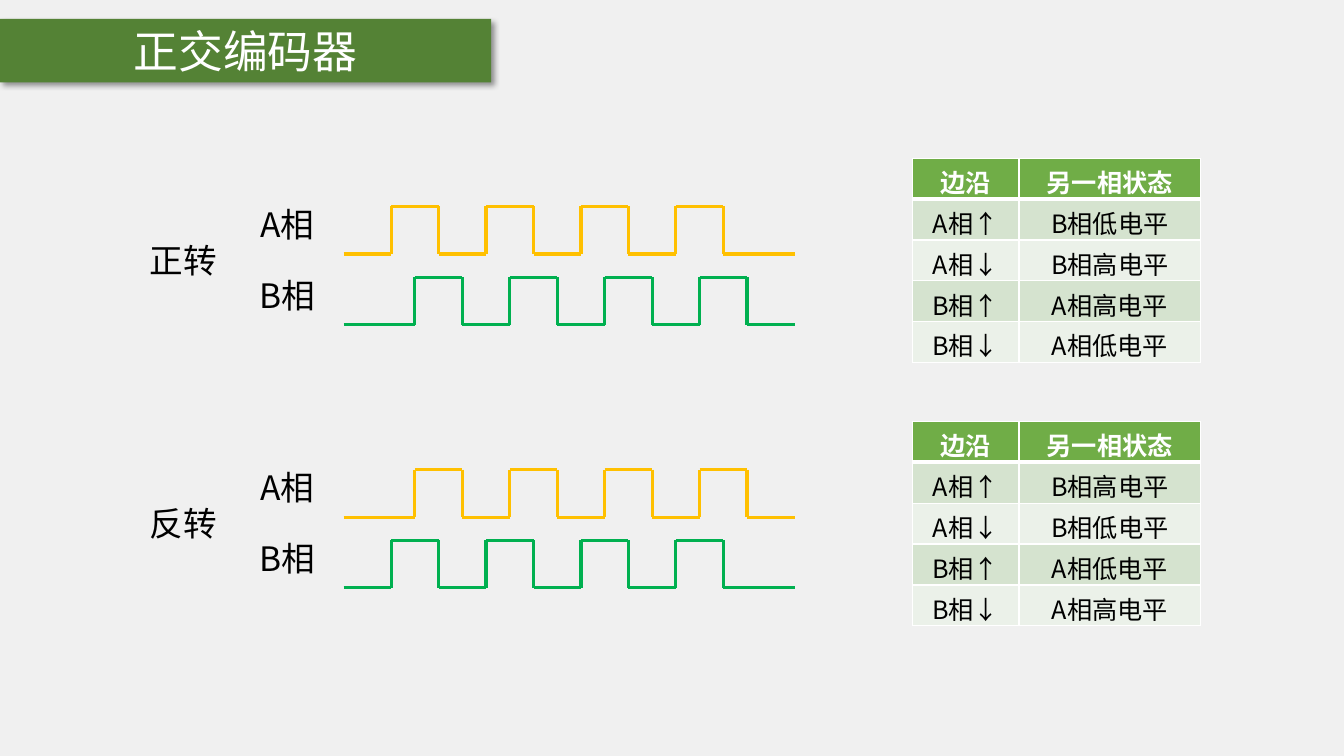
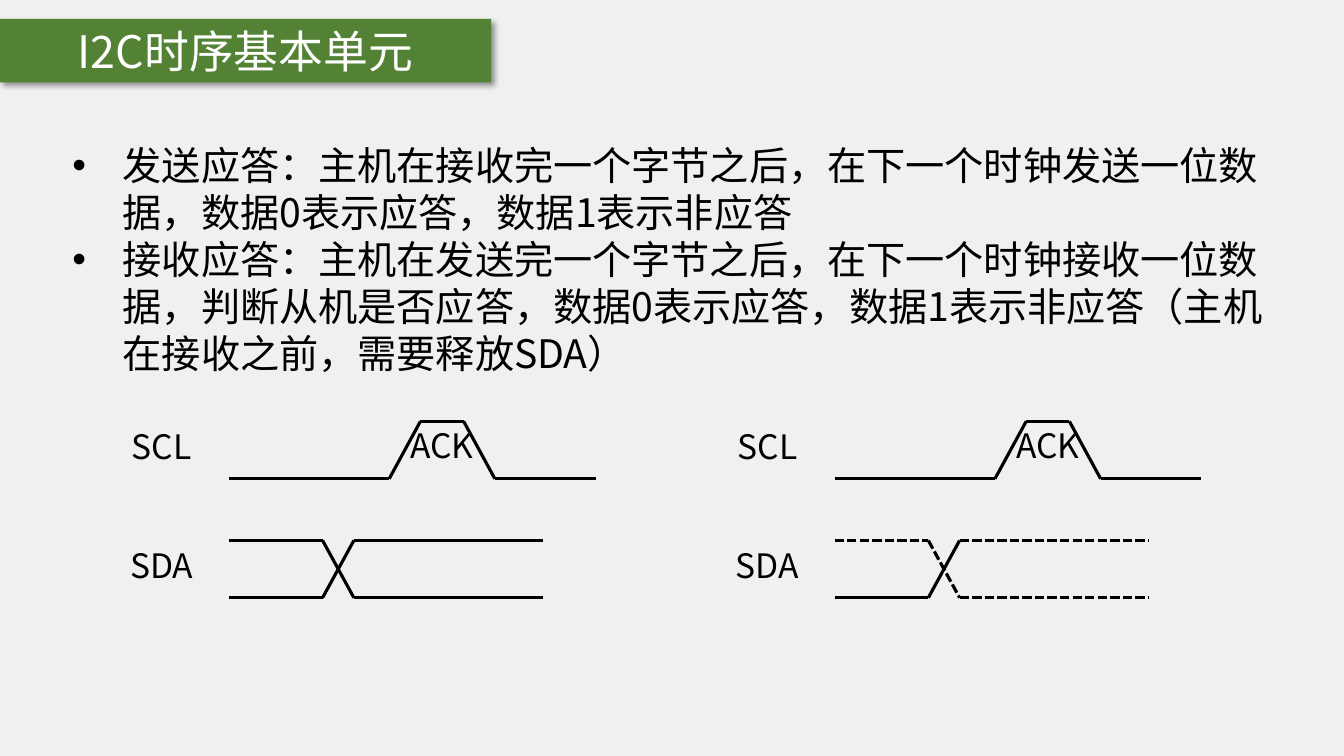
"""Build two slides on quadrature encoders and I2C acknowledge timing."""
from itertools import pairwise

from lxml.etree import SubElement
from pptx import Presentation
from pptx.dml.color import RGBColor
from pptx.enum.dml import MSO_LINE
from pptx.enum.shapes import MSO_CONNECTOR as Connector, MSO_SHAPE as Shape
from pptx.enum.text import MSO_ANCHOR as Anchor, MSO_AUTO_SIZE as AutoSize, PP_ALIGN as Align
from pptx.oxml.ns import qn
from pptx.util import Pt

BACKGROUND = RGBColor(0xF0, 0xF0, 0xF0)
TITLE_GREEN = RGBColor(0x54, 0x82, 0x35)
HEADER_GREEN = RGBColor(0x70, 0xAD, 0x47)
BAND_DARK = RGBColor(0xD5, 0xE3, 0xCF)
BAND_LIGHT = RGBColor(0xEB, 0xF1, 0xE9)
PHASE_A = RGBColor(0xFF, 0xC0, 0x00)
PHASE_B = RGBColor(0x00, 0xB0, 0x50)
BLACK = RGBColor(0, 0, 0)
WHITE = RGBColor(0xFF, 0xFF, 0xFF)
FONT = "Noto Sans CJK SC"

WAVE_LEFT = 245.5
QUARTER = 16.95
WAVE_RIGHT = WAVE_LEFT + 19 * QUARTER
PULSES = 4
DIRECTION_GAP = 188
PANEL_GAP = 432.7
SOLID, DASHED = MSO_LINE.SOLID, MSO_LINE.SQUARE_DOT

HEADER = ("边沿", "另一相状态")
EDGES = ("A相↑", "A相↓", "B相↑", "B相↓")
FORWARD = ("B相低电平", "B相高电平", "A相高电平", "A相低电平")
REVERSE = ("B相高电平", "B相低电平", "A相低电平", "A相高电平")
ANSWERS = (
    "发送应答：主机在接收完一个字节之后，在下一个时钟发送一位数据，数据0表示应答，数据1表示非应答",
    "接收应答：主机在发送完一个字节之后，在下一个时钟接收一位数据，判断从机是否应答，"
    "数据0表示应答，数据1表示非应答（主机在接收之前，需要释放SDA）",
)


def style_paragraph(paragraph, size, color=BLACK, bold=False, align=Align.CENTER):
    paragraph.alignment = align
    font = paragraph.font
    font.size, font.bold, font.name = Pt(size), bold, FONT
    font.color.rgb = color
    defaults = paragraph._p.pPr.find(qn("a:defRPr"))
    SubElement(defaults, qn("a:ea"), typeface=FONT)


def add_slide(presentation, title):
    slide = presentation.slides.add_slide(presentation.slide_layouts[6])
    bar = slide.shapes.add_shape(Shape.RECTANGLE, 0, Pt(13.5), Pt(350.8), Pt(45.4))
    bar.fill.solid()
    bar.fill.fore_color.rgb = TITLE_GREEN
    bar.line.fill.background()
    bar.shadow.inherit = False
    effects = bar._element.spPr.find(qn("a:effectLst"))
    shadow = SubElement(effects, qn("a:outerShdw"), blurRad=str(Pt(4)), dist=str(Pt(3)),
                        dir="2700000", algn="tl", rotWithShape="0")
    shade = SubElement(shadow, qn("a:srgbClr"), val=str(BLACK))
    SubElement(shade, qn("a:alpha"), val="40000")
    bar.text_frame.vertical_anchor = Anchor.MIDDLE
    bar.text_frame.text = title
    style_paragraph(bar.text_frame.paragraphs[0], 32, WHITE)
    return slide


def add_text_frame(slide, left, top, width, height):
    box = slide.shapes.add_textbox(Pt(left), Pt(top), Pt(width), Pt(height))
    frame = box.text_frame
    frame.word_wrap = True
    frame.auto_size = AutoSize.SHAPE_TO_FIT_TEXT
    return frame


def add_label(slide, text, left, top, width):
    frame = add_text_frame(slide, left, top, width, 36)
    frame.text = text
    style_paragraph(frame.paragraphs[0], 24)


def add_bullets(slide, texts):
    frame = add_text_frame(slide, 44.6, 97.2, 869.8, 177)
    for index, text in enumerate(texts):
        paragraph = frame.add_paragraph() if index else frame.paragraphs[0]
        paragraph.text = text
        properties = paragraph._p.get_or_add_pPr()
        properties.set("marL", str(Pt(36)))
        properties.set("indent", str(Pt(-36)))
        SubElement(properties, qn("a:buFont"), typeface="Arial")
        SubElement(properties, qn("a:buChar"), char="•")
        style_paragraph(paragraph, 28, align=Align.LEFT)


def add_path(group, points, color, dashes=None):
    segments = list(pairwise(points))
    for (start, end), dash in zip(segments, dashes or [SOLID] * len(segments)):
        connector = group.shapes.add_connector(Connector.STRAIGHT, *map(Pt, start + end))
        connector.line.color.rgb = color
        connector.line.width = Pt(2.25)
        connector.line.dash_style = dash
        SubElement(connector._element.spPr, qn("a:effectLst"))


def add_square_wave(group, first_rise, high, color):
    low = high + 2 * QUARTER
    points = [(WAVE_LEFT, low)]
    for pulse in range(PULSES):
        rise = first_rise + 4 * QUARTER * pulse
        fall = rise + 2 * QUARTER
        points += [(rise, low), (rise, high), (fall, high), (fall, low)]
    add_path(group, points + [(WAVE_RIGHT, low)], color)


def style_cell(cell, row, fill):
    properties = cell._tc.get_or_add_tcPr()
    widths = {"L": 1, "R": 1, "T": 3 if row == 1 else 1, "B": 3 if row == 0 else 1}
    for side, width in widths.items():
        border = SubElement(properties, qn(f"a:ln{side}"), w=str(Pt(width)))
        SubElement(SubElement(border, qn("a:solidFill")), qn("a:srgbClr"), val=str(WHITE))
    cell.fill.solid()
    cell.fill.fore_color.rgb = fill


def add_state_table(slide, top, states):
    rows = [HEADER, *zip(EDGES, states)]
    table = slide.shapes.add_table(len(rows), 2, Pt(651.6), Pt(top), Pt(205.9), Pt(146)).table
    for column, width in zip(table.columns, (76.3, 129.6)):
        column.width = Pt(width)
    for row, texts in enumerate(rows):
        fill = (BAND_DARK if row % 2 else BAND_LIGHT) if row else HEADER_GREEN
        for column, text in enumerate(texts):
            cell = table.cell(row, column)
            cell.text = text
            style_cell(cell, row, fill)
            style_paragraph(cell.text_frame.paragraphs[0], 18, BLACK if row else WHITE, row == 0)


def add_direction(slide, name, offset, rise_a, rise_b, states):
    group = slide.shapes.add_group_shape()
    add_square_wave(group, WAVE_LEFT + rise_a * QUARTER, 147.5 + offset, PHASE_A)
    add_square_wave(group, WAVE_LEFT + rise_b * QUARTER, 198 + offset, PHASE_B)
    add_label(slide, "A相", 164.9, 142 + offset, 80.6)
    add_label(slide, "B相", 164.9, 193 + offset, 80.6)
    add_label(slide, name, 90.7, 167.7 + offset, 80.6)
    add_state_table(slide, 113 + offset, states)


def add_answer_timing(slide, offset, falling, rising):
    add_label(slide, "SCL", 69 + offset, 301, 93)
    add_label(slide, "SDA", 69 + offset, 386, 93)
    high, low = 301, 342
    clock = [(163.4, low), (278, low), (300.3, high), (331.2, high), (353.5, low), (425.5, low)]
    add_path(slide.shapes.add_group_shape(), [(x + offset, y) for x, y in clock], BLACK)
    high, low = 386, 427
    stops = [x + offset for x in (163.4, 230.4, 252.8, 388.1)]
    data = slide.shapes.add_group_shape()
    add_path(data, list(zip(stops, (high, high, low, low))), BLACK, falling)
    add_path(data, list(zip(stops, (low, low, high, high))), BLACK, rising)
    add_label(slide, "ACK", 282.2 + offset, 300.3, 67)


def main():
    presentation = Presentation()
    presentation.slide_width, presentation.slide_height = Pt(960), Pt(540)
    background = presentation.slide_master.background.fill
    background.solid()
    background.fore_color.rgb = BACKGROUND

    encoder = add_slide(presentation, "正交编码器")
    add_direction(encoder, "正转", 0, 2, 3, FORWARD)
    add_direction(encoder, "反转", DIRECTION_GAP, 3, 2, REVERSE)

    timing = add_slide(presentation, "I2C时序基本单元")
    add_bullets(timing, ANSWERS)
    add_answer_timing(timing, 0, [SOLID] * 3, [SOLID] * 3)
    add_answer_timing(timing, PANEL_GAP, [DASHED] * 3, [SOLID, SOLID, DASHED])
    presentation.save("out.pptx")


if __name__ == "__main__":
    main()
